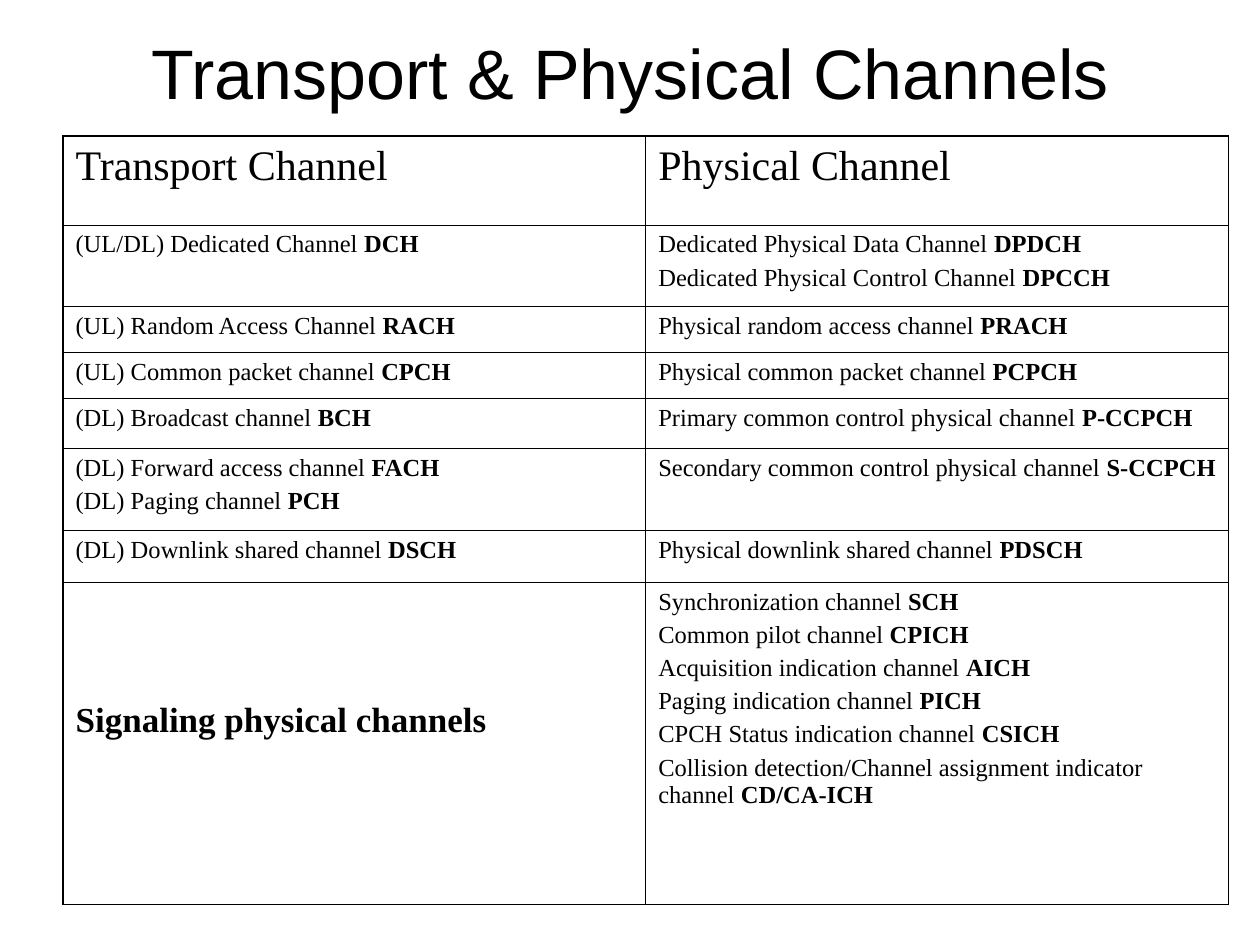
"""Build a slide that maps transport channels to physical channels."""
from dataclasses import dataclass

from lxml.etree import SubElement
from pptx import Presentation
from pptx.dml.color import RGBColor
from pptx.enum.text import MSO_ANCHOR, MSO_AUTO_SIZE, PP_ALIGN
from pptx.oxml.ns import qn
from pptx.util import Pt

TITLE = "Transport & Physical Channels"
HEADINGS = ("Transport Channel", "Physical Channel")
CHANNELS = [
    ([("(UL/DL) Dedicated Channel ", "DCH")],
     [("Dedicated Physical Data Channel ", "DPDCH"),
      ("Dedicated Physical Control Channel ", "DPCCH")]),
    ([("(UL) Random Access Channel ", "RACH")],
     [("Physical random access channel ", "PRACH")]),
    ([("(UL) Common packet channel ", "CPCH")],
     [("Physical common packet channel ", "PCPCH")]),
    ([("(DL) Broadcast channel ", "BCH")],
     [("Primary common control physical channel ", "P-CCPCH")]),
    ([("(DL) Forward access channel ", "FACH"), ("(DL) Paging channel ", "PCH")],
     [("Secondary common control physical channel ", "S-CCPCH")]),
    ([("(DL) Downlink shared channel ", "DSCH")],
     [("Physical downlink shared channel ", "PDSCH")]),
]
SIGNALING_LABEL = "Signaling physical channels"
SIGNALING = [
    ("Synchronization channel ", "SCH"),
    ("Common pilot channel ", "CPICH"),
    ("Acquisition indication channel ", "AICH"),
    ("Paging indication channel ", "PICH"),
    ("CPCH Status indication channel ", "CSICH"),
    ("Collision detection/Channel assignment indicator channel ", "CD/CA-ICH"),
]
ROW_HEIGHTS = (50.6, 46.6, 26.4, 26.2, 28.6, 46.6, 29.8, 184.2)
TABLE_LEFT, TABLE_TOP, COLUMN_WIDTH = 36, 77.9, 333
SIGNALING_INSET = 68


@dataclass(frozen=True)
class Theme:
    """Colours, fonts, type sizes and line widths."""
    ink: str = "000000"
    title_font: str = "Arial"
    body_font: str = "Times New Roman"
    title_size: int = 40
    heading_size: int = 24
    label_size: int = 20
    body_size: int = 14
    paragraph_gap: float = 3.5
    outer_line: float = 1.08
    inner_line: float = 0.45


THEME = Theme()


def add_span(para, text, font, size, bold=False):
    """Add one formatted run."""
    span = para.add_run()
    span.text = text
    span.font.name, span.font.size, span.font.bold = font, Pt(size), bold
    span.font.color.rgb = RGBColor.from_string(THEME.ink)


def fill_cell(cell, lines, size):
    """Write each line as a paragraph with a plain and a bold part."""
    for index, (plain, bold) in enumerate(lines):
        frame = cell.text_frame
        para = frame.add_paragraph() if index else frame.paragraphs[0]
        if index:
            para.space_before = Pt(THEME.paragraph_gap)
        for text, is_bold in ((plain, False), (bold, True)):
            if text:
                add_span(para, text, THEME.body_font, size, is_bold)


def draw_borders(cell, outer_sides):
    """Draw four cell borders, heavier on the outside of the table."""
    properties = cell._tc.get_or_add_tcPr()
    for side in "LRTB":
        width = THEME.outer_line if side in outer_sides else THEME.inner_line
        line = SubElement(properties, qn(f"a:ln{side}"), w=str(Pt(width)))
        fill = SubElement(line, qn("a:solidFill"))
        SubElement(fill, qn("a:srgbClr"), val=THEME.ink)


def add_title(page):
    """Place and format the title."""
    box = page.shapes.title
    box.left, box.top, box.width, box.height = Pt(36), Pt(21.6), Pt(648), Pt(38.2)
    frame = box.text_frame
    frame.auto_size = MSO_AUTO_SIZE.NONE
    frame.vertical_anchor = MSO_ANCHOR.MIDDLE
    para = frame.paragraphs[0]
    para.alignment = PP_ALIGN.CENTER
    add_span(para, TITLE, THEME.title_font, THEME.title_size)


def add_channel_table(page):
    """Add the table of channels."""
    rows = [([(heading, "")] for heading in HEADINGS), *CHANNELS,
            ([("", SIGNALING_LABEL)], SIGNALING)]
    last = len(rows) - 1
    table = page.shapes.add_table(
        len(rows), len(HEADINGS), Pt(TABLE_LEFT), Pt(TABLE_TOP),
        Pt(COLUMN_WIDTH * len(HEADINGS)), Pt(sum(ROW_HEIGHTS))).table
    table.first_row = table.horz_banding = False
    for column in table.columns:
        column.width = Pt(COLUMN_WIDTH)
    for row_index, (row, height) in enumerate(zip(rows, ROW_HEIGHTS)):
        table.rows[row_index].height = Pt(height)
        edge = {0: "T", last: "B"}.get(row_index, "")
        for column_index, lines in enumerate(row):
            cell = table.cell(row_index, column_index)
            size = THEME.body_size if row_index else THEME.heading_size
            if (row_index, column_index) == (last, 0):
                size = THEME.label_size
                cell.margin_top = Pt(SIGNALING_INSET)
            fill_cell(cell, lines, size)
            draw_borders(cell, edge + "LR"[column_index])
            cell.fill.background()


def main():
    """Build and save the deck."""
    deck = Presentation()
    deck.slide_width, deck.slide_height = Pt(720), Pt(540)
    page = deck.slides.add_slide(deck.slide_layouts[5])
    add_title(page)
    add_channel_table(page)
    deck.save("out.pptx")


if __name__ == "__main__":
    main()
